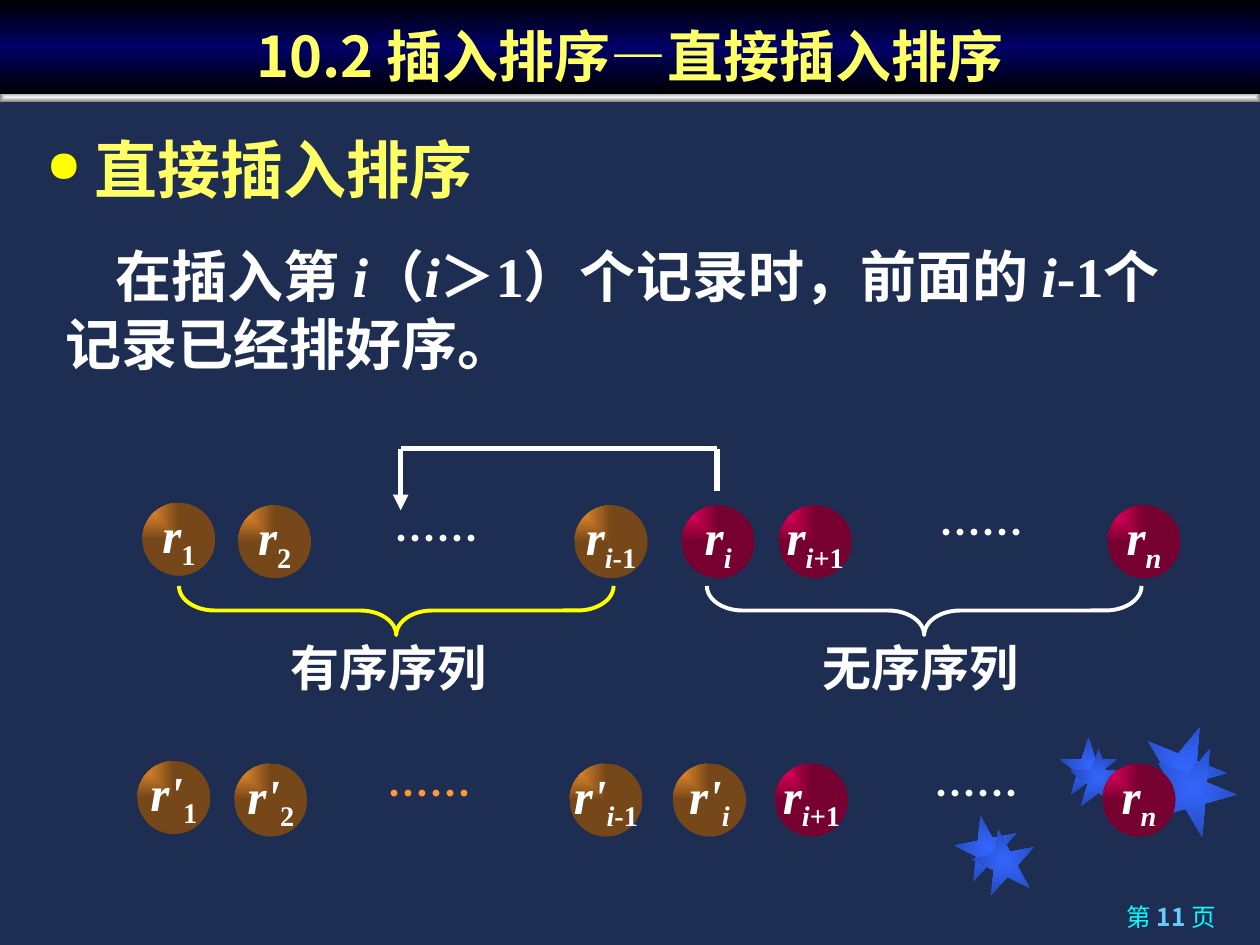
from lxml import etree
from pptx import Presentation
from pptx.dml.color import RGBColor
from pptx.enum.shapes import MSO_CONNECTOR, MSO_SHAPE
from pptx.enum.text import MSO_ANCHOR, PP_ALIGN
from pptx.oxml import parse_xml
from pptx.oxml.ns import nsdecls, qn
from pptx.util import Inches, Pt

LINE = MSO_CONNECTOR.STRAIGHT
RECT, OVAL = MSO_SHAPE.RECTANGLE, MSO_SHAPE.OVAL
STAR, BRACE = MSO_SHAPE.STAR_5_POINT, MSO_SHAPE.LEFT_BRACE
LEFT, MID, RIGHT = PP_ALIGN.LEFT, PP_ALIGN.CENTER, PP_ALIGN.RIGHT
TOP, CENTER, BOTTOM = MSO_ANCHOR.TOP, MSO_ANCHOR.MIDDLE, MSO_ANCHOR.BOTTOM

NAVY = RGBColor(0x1E, 0x2E, 0x53)
BLACK = RGBColor(0, 0, 0)
DEEP = RGBColor(0, 0, 0x66)
WHITE = RGBColor(255, 255, 255)
PALE = RGBColor(0xF2, 0xF2, 0xF2)
GRAY = RGBColor(0x80, 0x80, 0x80)
YELLOW = RGBColor(255, 255, 0)
LEMON = RGBColor(255, 255, 0x66)
CYAN = RGBColor(0, 255, 255)
SKY = RGBColor(0x66, 0xCC, 0xFF)
BLUE = RGBColor(0x33, 0x66, 0xFF)
SHADE = RGBColor(0x24, 0x49, 0xB6)
ORANGE = RGBColor(0xFF, 0x99, 0x33)
BROWN = RGBColor(0x76, 0x47, 0x18)
PINK = RGBColor(0xFF, 0, 0x66)
WINE = RGBColor(0x76, 0, 0x2F)

CJK, ARIAL, TIMES = "Noto Sans CJK SC", "Arial", "Times New Roman"
ANGLE = '<a:lin ang="5400000" scaled="0"/>'
INNER = ('<a:path path="shape"><a:fillToRect l="50000" t="50000" '
         'r="50000" b="50000"/></a:path>')
CORNER = '<a:path path="rect"><a:fillToRect r="100000" b="100000"/></a:path>'


def add_shape(slide, kind, x, y, w, h, turn=0):
    shape = slide.shapes.add_shape(kind, Inches(x), Inches(y), Inches(w), Inches(h))
    shape.shadow.inherit = False
    shape.rotation = turn
    shape.fill.background()
    shape.line.fill.background()
    return shape


def add_blend(shape, colors, mode):
    step = 100000 // (len(colors) - 1)
    stops = "".join(f'<a:gs pos="{i * step}"><a:srgbClr val="{color}"/></a:gs>'
                    for i, color in enumerate(colors))
    blend = parse_xml(f'<a:gradFill {nsdecls("a")} rotWithShape="1">'
                      f'<a:gsLst>{stops}</a:gsLst>{mode}</a:gradFill>')
    props = shape.element.spPr
    props.replace(props.find(qn("a:noFill")), blend)


def add_run(para, text, size, color, font, bold=True, italic=False, sub=False):
    run = para.add_run()
    run.text = text
    face = run.font
    face.size, face.bold, face.italic = Pt(size), bold, italic
    face.color.rgb, face.name = color, font
    props = run._r.get_or_add_rPr()
    etree.SubElement(props, qn("a:ea")).set("typeface", CJK)
    if sub:
        props.set("baseline", "-25000")


def set_frame(shape, align=LEFT, anchor=TOP):
    frame = shape.text_frame
    frame.word_wrap = True
    frame.vertical_anchor = anchor
    para = frame.paragraphs[0]
    para.alignment = align
    return para


def add_text(slide, x, y, w, h, align=LEFT):
    box = slide.shapes.add_textbox(Inches(x), Inches(y), Inches(w), Inches(h))
    return set_frame(box, align)


def add_stars(slide):
    for x, y, size, turn in [(7.58, 6.47, 0.5, 349), (8.41, 5.85, 0.46, 0),
                             (9.06, 5.75, 0.67, 22), (7.72, 6.58, 0.5, 349),
                             (8.49, 5.94, 0.46, 0), (9.14, 5.92, 0.67, 22)]:
        add_blend(add_shape(slide, STAR, x, y, size, size, turn), [BLUE, SHADE], INNER)


def add_title(slide):
    add_blend(add_shape(slide, RECT, 0, 0.73, 10, 0.08), [PALE, GRAY], INNER)
    bar = add_shape(slide, RECT, 0, 0, 10, 0.75)
    add_blend(bar, [BLACK, DEEP, BLACK], ANGLE)
    para = set_frame(bar, MID, BOTTOM)
    for text, font in [("10.2 插入排序", CJK), ("—", ARIAL), ("直接插入排序", CJK)]:
        add_run(para, text, 32, LEMON, font)


def add_head(slide):
    para = add_text(slide, 0.27, 0.99, 9.53, 0.98)
    add_run(para, "直接插入排序", 36, LEMON, ARIAL)
    props = para._p.get_or_add_pPr()
    props.set("marL", str(Inches(0.38)))
    props.set("indent", str(Inches(-0.38)))
    color = etree.SubElement(props, qn("a:buClr"))
    etree.SubElement(color, qn("a:srgbClr")).set("val", str(YELLOW))
    etree.SubElement(props, qn("a:buSzPct")).set("val", "70000")
    etree.SubElement(props, qn("a:buChar")).set("char", "●")


def add_body(slide):
    para = add_text(slide, 0.42, 1.87, 9.2, 1.38)
    para._p.get_or_add_pPr().set("indent", str(Inches(0.4)))
    parts = ["在插入第 ", "i", "（", "i", "＞1）个记录时，前面的 ", "i",
             "-1个记录已经排好序。"]
    for text in parts:
        add_run(para, text, 32, WHITE, TIMES, italic=text == "i")


def add_brace(slide, x, color, left, label):
    brace = add_shape(slide, BRACE, x, 3.12, 0.39, 3.45, 270)
    brace.adjustments[0], brace.adjustments[1] = 0.73, 0.5
    brace.line.color.rgb, brace.line.width = color, Pt(2.25)
    add_run(add_text(slide, left, 5.01, 2.17, 0.57), label, 28, WHITE, ARIAL)


def add_path(slide):
    spots = [(5.69, 3.9), (5.69, 3.56), (3.18, 3.56), (3.18, 4.05)]
    for start, end in zip(spots, spots[1:]):
        line = slide.shapes.add_connector(LINE, *map(Inches, start + end))
        line.line.color.rgb, line.line.width = WHITE, Pt(3)
        props = line.element.spPr
        etree.SubElement(props, qn("a:effectLst"))
    etree.SubElement(props.find(qn("a:ln")), qn("a:tailEnd")).set("type", "triangle")


def add_ball(slide, x, y, colors, name, sign, digit):
    ball = add_shape(slide, OVAL, x, y, 0.58, 0.58)
    add_blend(ball, colors, CORNER)
    para = set_frame(ball, MID, CENTER)
    para.line_spacing = 0.7
    frame = ball.text_frame
    frame.word_wrap = False
    frame.margin_left = frame.margin_right = 0
    frame.margin_top = frame.margin_bottom = 0
    add_run(para, name, 28, WHITE, TIMES, italic=True)
    for text, italic in [(sign, True), (digit, False)]:
        if text:
            add_run(para, text, 28, WHITE, TIMES, italic=italic, sub=True)


def add_dots(slide, x, y, color):
    add_run(add_text(slide, x, y, 1.01, 0.5), "……", 24, color, CJK)


def add_page(slide):
    para = add_text(slide, 7.12, 7.11, 2.63, 0.36, RIGHT)
    for text, color, bold in [("第 ", CYAN, False), ("11 ", SKY, True),
                              ("页", CYAN, False)]:
        add_run(para, text, 14, color, CJK, bold)


def main():
    deck = Presentation()
    deck.slide_width, deck.slide_height = Inches(10), Inches(7.5)
    slide = deck.slides.add_slide(deck.slide_layouts[6])
    slide.background.fill.solid()
    slide.background.fill.fore_color.rgb = NAVY
    add_stars(slide)
    add_page(slide)
    add_head(slide)
    add_title(slide)
    add_body(slide)
    add_brace(slide, 2.95, YELLOW, 2.21, "有序序列")
    add_brace(slide, 7.14, WHITE, 6.43, "无序序列")
    add_path(slide)
    done, todo = [ORANGE, BROWN], [PINK, WINE]
    for x, y, colors, name, sign, digit in [
            (1.13, 3.99, done, "r", "", "1"), (1.89, 4.01, done, "r", "", "2"),
            (4.56, 4.01, done, "r", "i", "-1"), (5.41, 4.01, todo, "r", "i", ""),
            (6.18, 4.01, todo, "r", "i+", "1"), (8.79, 4.01, todo, "r", "n", ""),
            (1.09, 6.04, done, "r'", "", "1"), (1.86, 6.06, done, "r'", "", "2"),
            (4.52, 6.06, done, "r'", "i", "-1"), (5.34, 6.06, done, "r'", "i", ""),
            (6.15, 6.06, todo, "r", "i+", "1"), (8.75, 6.06, todo, "r", "n", "")]:
        add_ball(slide, x, y, colors, name, sign, digit)
    for x, y, color in [(3.03, 4.02, WHITE), (7.36, 3.97, WHITE),
                        (2.98, 6.04, ORANGE), (7.32, 6.04, WHITE)]:
        add_dots(slide, x, y, color)
    deck.save("out.pptx")


if __name__ == "__main__":
    main()
